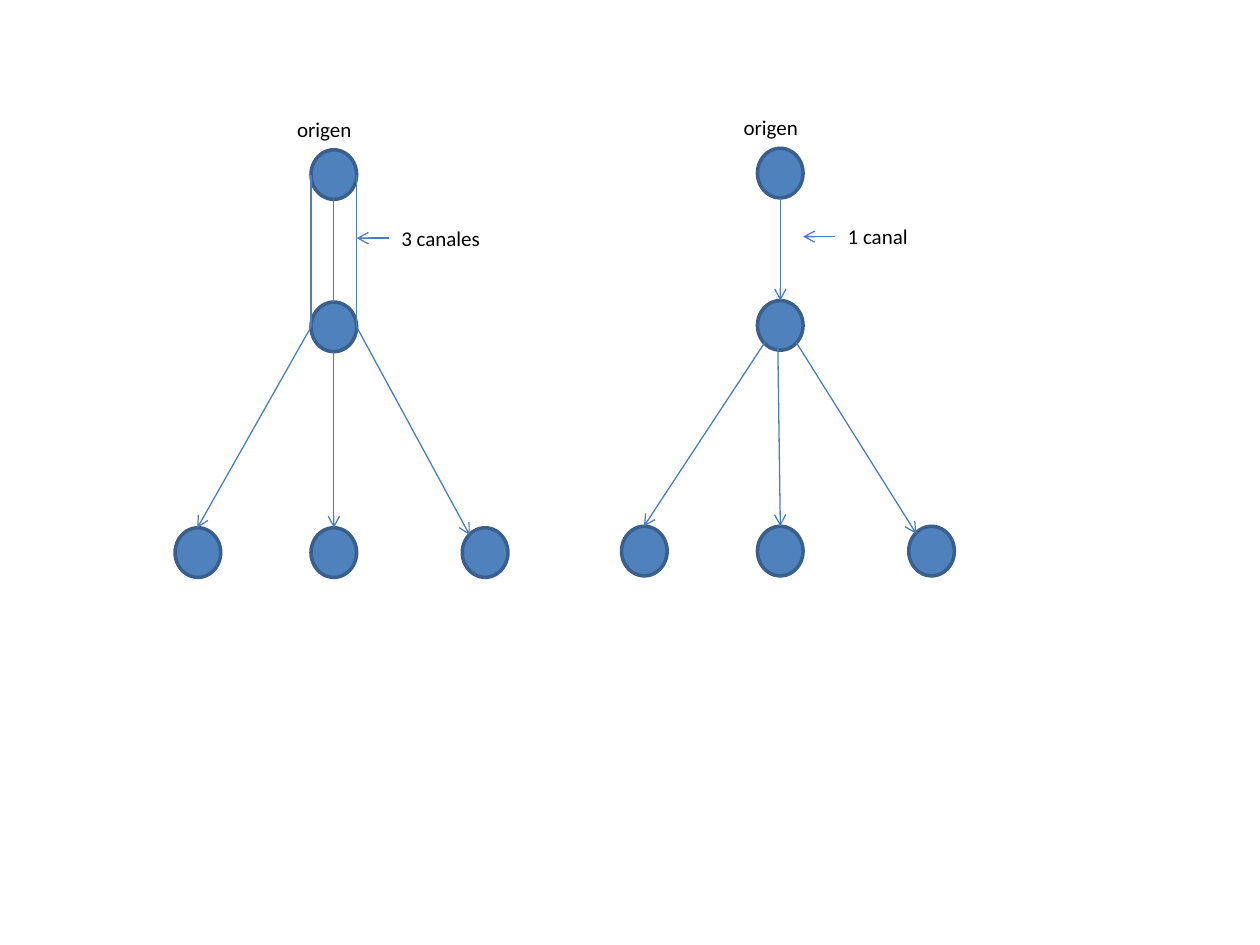
"""Build a slide comparing two distribution trees, with three channels and with one."""
from dataclasses import dataclass

from lxml import etree
from pptx import Presentation
from pptx.dml.color import RGBColor
from pptx.enum.shapes import MSO_CONNECTOR, MSO_SHAPE
from pptx.enum.text import MSO_AUTO_SIZE
from pptx.oxml.ns import qn
from pptx.shapes.shapetree import GroupShapes
from pptx.util import Cm, Pt

ELLIPSE = MSO_SHAPE.OVAL
STRAIGHT = MSO_CONNECTOR.STRAIGHT
FIT_SHAPE = MSO_AUTO_SIZE.SHAPE_TO_FIT_TEXT

NODE_FILL = RGBColor(0x4F, 0x81, 0xBD)
NODE_LINE = RGBColor(0x3A, 0x5F, 0x8C)
LINK_COLOR = RGBColor(0x4B, 0x7E, 0xBC)
TEXT_COLOR = RGBColor(0x00, 0x00, 0x00)

NODE_WIDTH, NODE_HEIGHT = 0.92, 1.0
CENTER, MIDDLE = NODE_WIDTH / 2, NODE_HEIGHT / 2
RELAY_TOP, LEAF_TOP = 3.07, 7.62
RELAY_MIDDLE = RELAY_TOP + MIDDLE
NODES = [(0, 0), (0, RELAY_TOP)] + [(left, LEAF_TOP) for left in (3.05, 0, -2.74)]
LEFT_LEAF, MIDDLE_LEAF, RIGHT_LEAF = (-2.29, LEAF_TOP), (CENTER, LEAF_TOP), (3.2, 7.77)
LABEL_WIDTH, LABEL_HEIGHT = 2.21, 0.76

Point = tuple[float, float]


@dataclass(frozen=True)
class Link:
    start: Point
    end: Point
    arrow: bool = True


@dataclass(frozen=True)
class Tree:
    left: float
    top: float
    channel_label: str
    links: tuple[Link, ...]


POINTER = Link((1.57, 1.78), (NODE_WIDTH, 1.78))
TREES = (
    Tree(6.27, 3.02, "3 canales", (
        Link((0, MIDDLE), (0, RELAY_MIDDLE), False),
        Link((CENTER, NODE_HEIGHT), (CENTER, RELAY_TOP), False),
        Link((NODE_WIDTH, MIDDLE), (NODE_WIDTH, RELAY_MIDDLE), False),
        Link((0, RELAY_MIDDLE), LEFT_LEAF),
        Link((CENTER, RELAY_TOP + NODE_HEIGHT), MIDDLE_LEAF),
        Link((NODE_WIDTH, RELAY_MIDDLE), RIGHT_LEAF),
    )),
    Tree(15.27, 2.99, "1 canal", (
        Link((CENTER, NODE_HEIGHT), (CENTER, RELAY_TOP)),
        Link((0.15, 3.91), LEFT_LEAF),
        Link((0.78, 3.91), RIGHT_LEAF),
        Link((0.41, 3.99), MIDDLE_LEAF),
    )),
)


def add_node(shapes: GroupShapes, left: float, top: float) -> None:
    """Draw one network node."""
    node = shapes.add_shape(ELLIPSE, Cm(left), Cm(top), Cm(NODE_WIDTH), Cm(NODE_HEIGHT))
    node.shadow.inherit = False
    node.fill.solid()
    node.fill.fore_color.rgb = NODE_FILL
    node.line.color.rgb = NODE_LINE
    node.line.width = Pt(2)


def add_label(shapes: GroupShapes, text: str, left: float, top: float) -> None:
    """Write one label."""
    label = shapes.add_textbox(Cm(left), Cm(top), Cm(LABEL_WIDTH), Cm(LABEL_HEIGHT))
    frame = label.text_frame
    frame.word_wrap = True
    frame.auto_size = FIT_SHAPE
    paragraph = frame.paragraphs[0]
    paragraph.text = text
    paragraph.font.name = "Calibri"
    paragraph.font.size = Pt(12)
    paragraph.font.color.rgb = TEXT_COLOR


def add_link(shapes: GroupShapes, link: Link, left: float, top: float) -> None:
    """Draw one link, with an arrowhead at its end if it has one."""
    (start_x, start_y), (end_x, end_y) = link.start, link.end
    connector = shapes.add_connector(
        STRAIGHT, Cm(left + start_x), Cm(top + start_y), Cm(left + end_x), Cm(top + end_y))
    connector.line.color.rgb = LINK_COLOR
    connector.line.width = Pt(0.75)
    properties = connector.line._get_or_add_ln()
    if link.arrow:
        etree.SubElement(properties, qn("a:tailEnd"), type="arrow")
    etree.SubElement(properties.getparent(), qn("a:effectLst"))


def add_tree(shapes: GroupShapes, tree: Tree) -> None:
    """Draw one tree with its nodes, labels and links."""
    for left, top in NODES:
        add_node(shapes, tree.left + left, tree.top + top)
    add_label(shapes, "origen", tree.left - 0.53, tree.top - 0.8)
    add_label(shapes, tree.channel_label, tree.left + 1.57, tree.top + 1.4)
    for link in (POINTER, *tree.links):
        add_link(shapes, link, tree.left, tree.top)


def main() -> None:
    """Build and save the presentation."""
    presentation = Presentation()
    presentation.slide_width, presentation.slide_height = Cm(25.4), Cm(19.05)
    slide = presentation.slides.add_slide(presentation.slide_layouts[6])
    for tree in TREES:
        add_tree(slide.shapes.add_group_shape().shapes, tree)
    presentation.save("out.pptx")


main()
